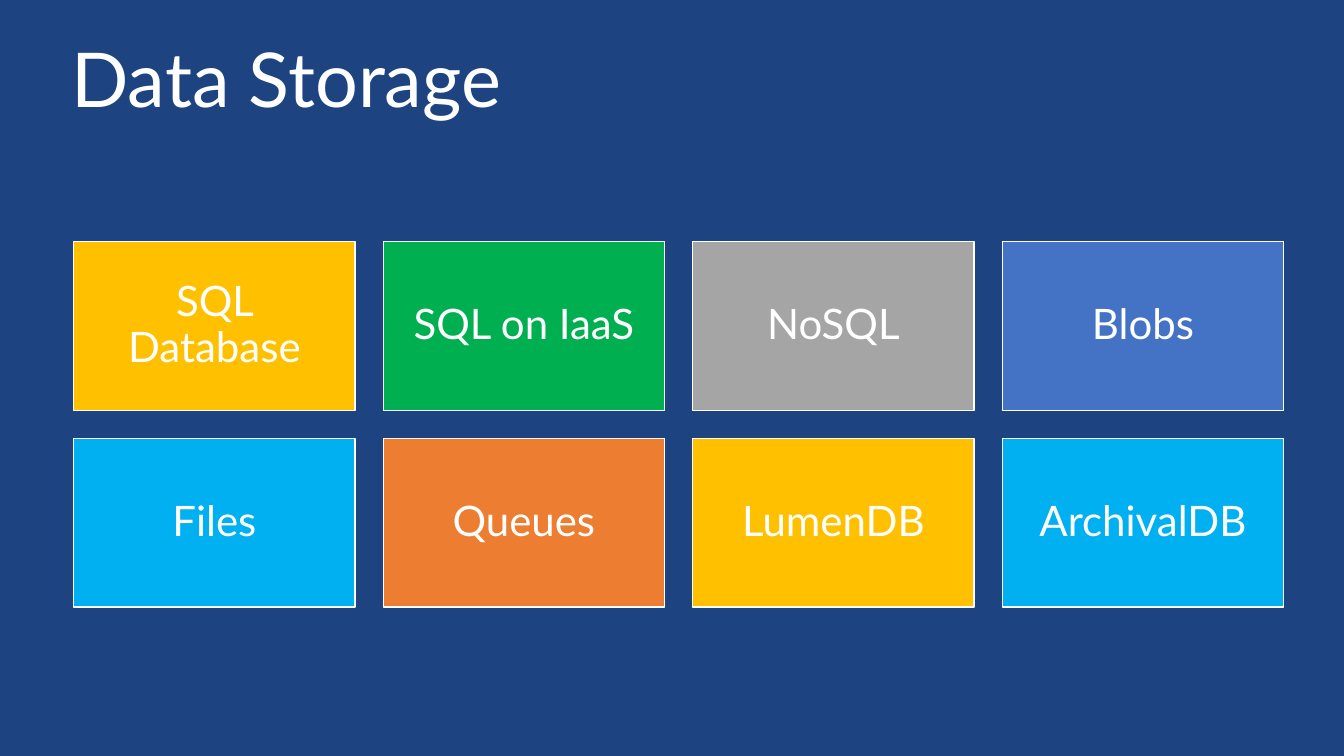
from pptx import Presentation
from pptx.dml.color import RGBColor
from pptx.enum.shapes import MSO_SHAPE
from pptx.enum.text import MSO_ANCHOR, PP_ALIGN
from pptx.util import Cm, Pt

NAVY = RGBColor(0x1D, 0x43, 0x80)
WHITE = RGBColor(0xFF, 0xFF, 0xFF)
GOLD = RGBColor(0xFF, 0xC0, 0x00)
GREEN = RGBColor(0x00, 0xB0, 0x50)
GRAY = RGBColor(0xA5, 0xA5, 0xA5)
BLUE = RGBColor(0x44, 0x72, 0xC4)
SKY = RGBColor(0x00, 0xB0, 0xF0)
ORANGE = RGBColor(0xED, 0x7D, 0x31)

TITLE = "Data Storage"
STORAGE_ROWS = [
    [("SQL Database", GOLD), ("SQL on IaaS", GREEN), ("NoSQL", GRAY), ("Blobs", BLUE)],
    [("Files", SKY), ("Queues", ORANGE), ("LumenDB", GOLD), ("ArchivalDB", SKY)],
]

GRID_LEFT, GRID_TOP = 1.86, 6.09
TILE_WIDTH, TILE_HEIGHT, TILE_GAP = 7.09, 4.25, 0.71


def write_text(shape, text, *, size, align, anchor, side_margin, edge_margin):
    """Put one formatted paragraph of white text into a shape."""
    frame = shape.text_frame
    frame.word_wrap = True
    frame.vertical_anchor = anchor
    frame.margin_left = frame.margin_right = Cm(side_margin)
    frame.margin_top = frame.margin_bottom = Cm(edge_margin)
    paragraph = frame.paragraphs[0]
    paragraph.alignment = align
    paragraph.line_spacing = 0.9
    run = paragraph.add_run()
    run.text = text
    run.font.name = "Lato"
    run.font.size = Pt(size)
    run.font.color.rgb = WHITE


def add_tile(slide, label, color, row, column):
    """Add one storage tile at its place in the grid."""
    tile = slide.shapes.add_shape(
        MSO_SHAPE.RECTANGLE,
        Cm(GRID_LEFT + column * (TILE_WIDTH + TILE_GAP)),
        Cm(GRID_TOP + row * (TILE_HEIGHT + TILE_GAP)),
        Cm(TILE_WIDTH),
        Cm(TILE_HEIGHT),
    )
    tile.shadow.inherit = False
    tile.fill.solid()
    tile.fill.fore_color.rgb = color
    tile.line.color.rgb = WHITE
    tile.line.width = Pt(1)
    write_text(tile, label, size=30, align=PP_ALIGN.CENTER,
               anchor=MSO_ANCHOR.MIDDLE, side_margin=0.3, edge_margin=0.3)


def main():
    """Build the data storage slide."""
    presentation = Presentation()
    presentation.slide_width = Cm(33.87)
    presentation.slide_height = Cm(19.05)
    slide = presentation.slides.add_slide(presentation.slide_layouts[5])
    slide.background.fill.solid()
    slide.background.fill.fore_color.rgb = NAVY

    title = slide.shapes.title
    title.left, title.top = Cm(1.55), Cm(0.94)
    title.width, title.height = Cm(30.78), Cm(2.67)
    write_text(title, TITLE, size=54, align=PP_ALIGN.LEFT,
               anchor=MSO_ANCHOR.TOP, side_margin=0.25, edge_margin=0.13)

    for row, tiles in enumerate(STORAGE_ROWS):
        for column, (label, color) in enumerate(tiles):
            add_tile(slide, label, color, row, column)

    presentation.save("out.pptx")


if __name__ == "__main__":
    main()
